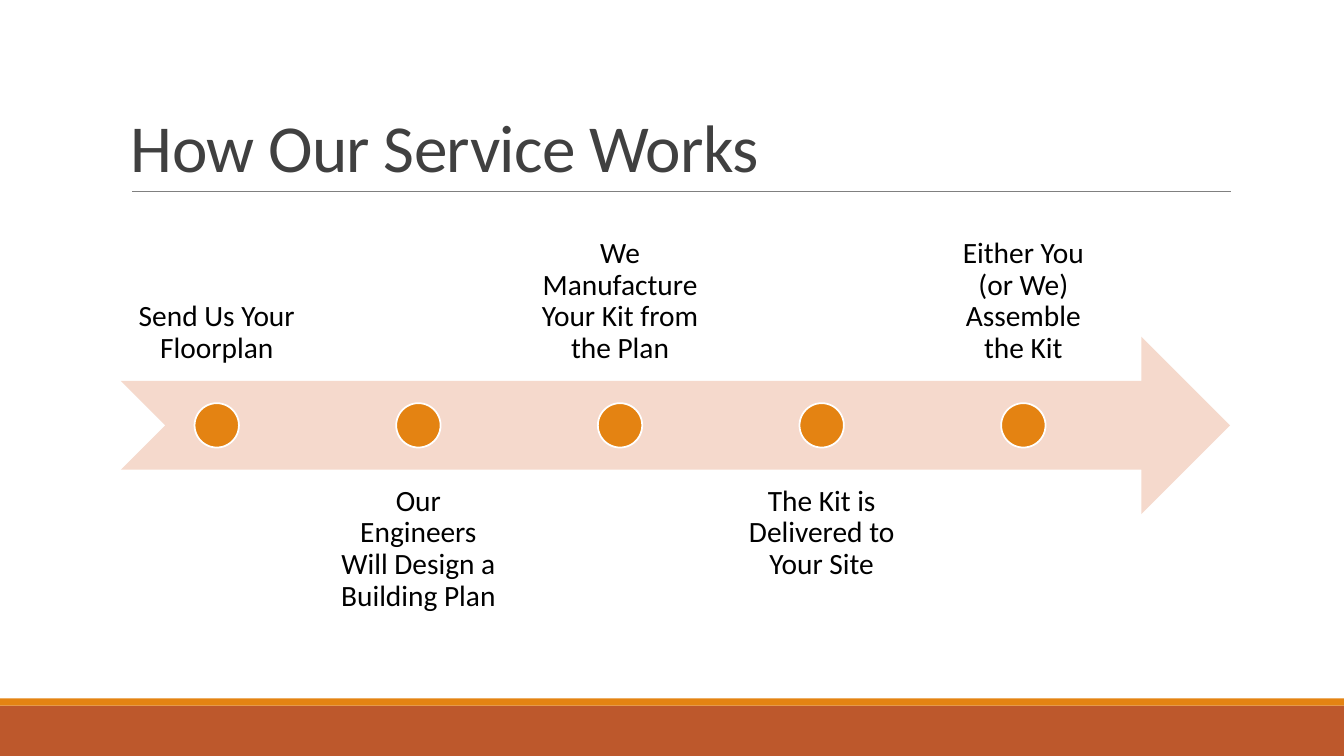
from lxml.etree import SubElement
from pptx import Presentation
from pptx.dml.color import RGBColor
from pptx.enum.shapes import MSO_CONNECTOR, MSO_SHAPE
from pptx.enum.text import MSO_ANCHOR, PP_ALIGN
from pptx.oxml.ns import qn
from pptx.util import Inches, Pt

RUST = RGBColor(0xBD, 0x58, 0x2C)
ORANGE = RGBColor(0xE4, 0x83, 0x12)
PEACH = RGBColor(0xF5, 0xD9, 0xCC)
GRAY = RGBColor(0x80, 0x80, 0x80)
CHARCOAL = RGBColor(0x40, 0x40, 0x40)
WHITE = RGBColor(0xFF, 0xFF, 0xFF)
BLACK = RGBColor(0, 0, 0)

WIDTH, HEIGHT = 13.33, 7.5
LEFT, CONTENT_WIDTH = 1.2, 11
BAND_TOP, BAND_HEIGHT = 3.34, 1.76
STEP_PITCH, STEP_WIDTH = 2, 1.9
DOT = BAND_HEIGHT / 4
LABEL_TOPS = (BAND_TOP - 0.75 * BAND_HEIGHT, BAND_TOP + 0.75 * BAND_HEIGHT)
LABEL_ANCHORS = (MSO_ANCHOR.BOTTOM, MSO_ANCHOR.TOP)
STEPS = [
    "Send Us Your Floorplan",
    "Our Engineers Will Design a Building Plan",
    "We Manufacture Your Kit from the Plan",
    "The Kit is Delivered to Your Site",
    "Either You (or We) Assemble the Kit",
]

presentation = Presentation()
presentation.slide_width = Inches(WIDTH)
presentation.slide_height = Inches(HEIGHT)
slide = presentation.slides.add_slide(presentation.slide_layouts[6])


def add_filled(kind, left, top, width, height, color):
    shape = slide.shapes.add_shape(
        kind, Inches(left), Inches(top), Inches(width), Inches(height))
    shape.shadow.inherit = False
    shape.fill.solid()
    shape.fill.fore_color.rgb = color
    shape.line.fill.background()
    return shape


def add_text(text, left, top, width, height, size, color, anchor, spacing):
    box = slide.shapes.add_textbox(
        Inches(left), Inches(top), Inches(width), Inches(height))
    frame = box.text_frame
    frame.word_wrap = True
    frame.vertical_anchor = anchor
    paragraph = frame.paragraphs[0]
    paragraph.text = text
    paragraph.line_spacing = spacing
    paragraph.font.name = "Calibri"
    paragraph.font.size = Pt(size)
    paragraph.font.color.rgb = color
    return frame


add_filled(MSO_SHAPE.RECTANGLE, 0, 7, WIDTH, 0.5, RUST)
add_filled(MSO_SHAPE.RECTANGLE, 0, 6.93, WIDTH, 0.07, ORANGE)

rule = slide.shapes.add_connector(
    MSO_CONNECTOR.STRAIGHT, Inches(1.31), Inches(1.9), Inches(12.21), Inches(1.9))
rule.line.color.rgb = GRAY
rule.line.width = Pt(0.5)
SubElement(rule.element.spPr, qn("a:effectLst"))

title = add_text("How Our Service Works", LEFT, 0.31, CONTENT_WIDTH, 1.59,
                 48, CHARCOAL, MSO_ANCHOR.BOTTOM, 0.85)
title.paragraphs[0].runs[0].font._element.set("spc", "-50")

add_filled(MSO_SHAPE.NOTCHED_RIGHT_ARROW, LEFT, BAND_TOP,
           CONTENT_WIDTH, BAND_HEIGHT, PEACH)

for index, step in enumerate(STEPS):
    left = LEFT + index * STEP_PITCH
    side = index % 2
    label = add_text(step, left, LABEL_TOPS[side], STEP_WIDTH, BAND_HEIGHT,
                     21, BLACK, LABEL_ANCHORS[side], 0.9)
    label.margin_left = label.margin_right = Inches(0.16)
    label.margin_top = label.margin_bottom = Inches(0.16)
    label.paragraphs[0].alignment = PP_ALIGN.CENTER

    dot = add_filled(MSO_SHAPE.OVAL, left + (STEP_WIDTH - DOT) / 2,
                     BAND_TOP + (BAND_HEIGHT - DOT) / 2, DOT, DOT, ORANGE)
    dot.line.color.rgb = WHITE
    dot.line.width = Pt(1.25)

presentation.save("out.pptx")
